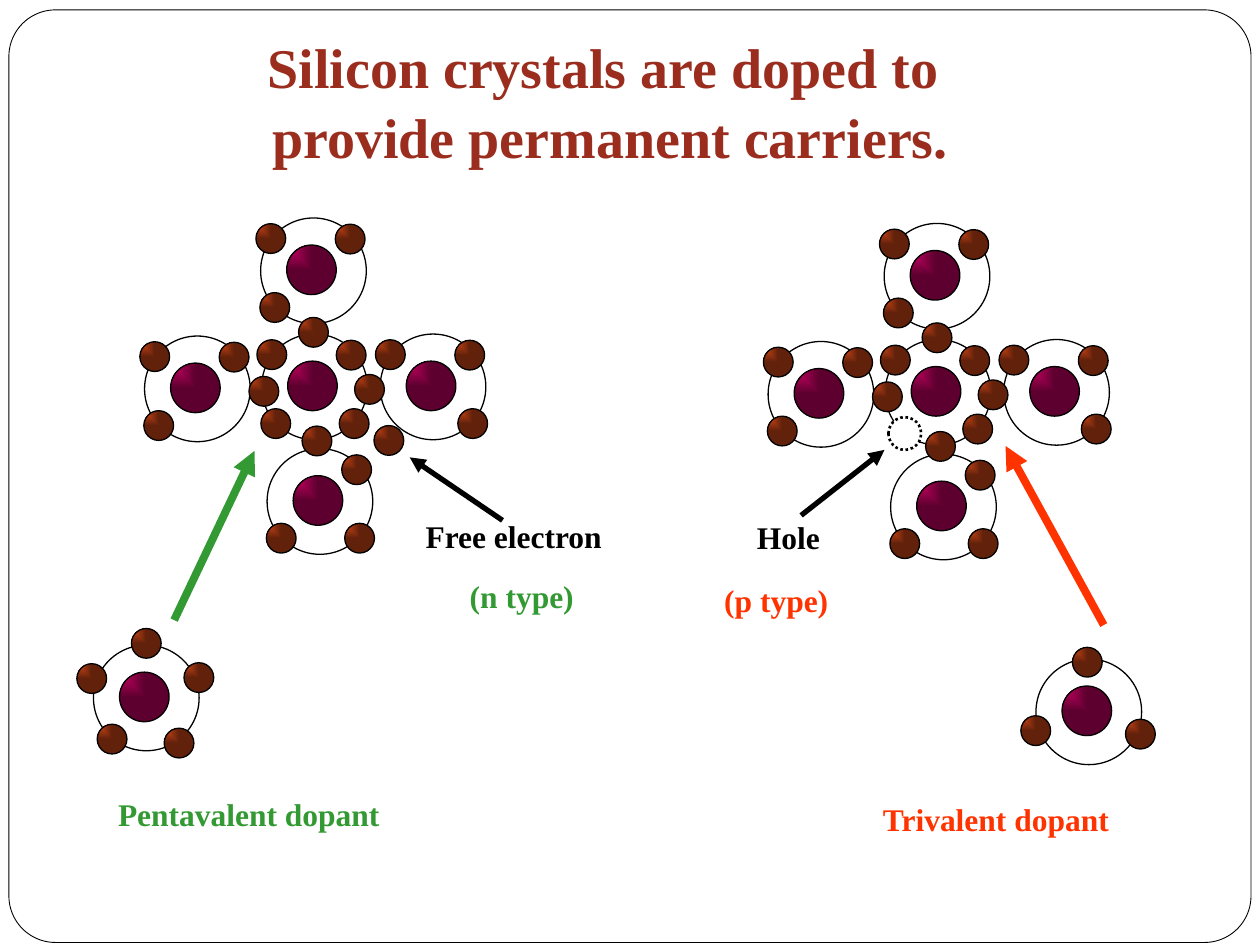
"""Build a slide on doping silicon crystals with pentavalent and trivalent atoms."""
from lxml.etree import SubElement
from pptx import Presentation
from pptx.dml.color import RGBColor
from pptx.enum.dml import MSO_LINE
from pptx.enum.shapes import MSO_CONNECTOR, MSO_SHAPE
from pptx.enum.text import MSO_ANCHOR, MSO_AUTO_SIZE, PP_ALIGN
from pptx.oxml import parse_xml
from pptx.oxml.ns import nsdecls, qn
from pptx.util import Cm, Pt

BLACK = RGBColor(0x00, 0x00, 0x00)
WHITE = RGBColor(0xFF, 0xFF, 0xFF)
RUST = RGBColor(0x9B, 0x2D, 0x1F)
GREEN = RGBColor(0x33, 0x99, 0x33)
RED = RGBColor(0xFF, 0x33, 0x00)
NUCLEUS = (RGBColor(0xCC, 0x00, 0x66), RGBColor(0x5E, 0x00, 0x2F))
ELECTRON = (RGBColor(0xD3, 0x48, 0x17), RGBColor(0x62, 0x21, 0x0B))
FONT = "Times New Roman"

NW, NE, SW, SE = (-0.86, -0.65), (0.74, -0.64), (-0.78, 0.74), (0.8, 0.74)
CENTRE = (6.34, 7.8)
NEIGHBOURS = [
    ((8.73, 7.8), [NW, (-1.28, 0.05), NE, SE]),
    ((3.98, 7.84), [NW, SW, NE, (1.34, 0.05)]),
    ((6.45, 10.11), [(-0.06, -1.22), SW, NE, SE]),
    ((6.32, 5.46), [NW, SW, NE, (0, 1.24)]),
]
CRYSTALS = [((0, 0), [NW, SW, NE, SE]), ((12.57, 0.11), [NW, NE, SE])]
DOPANTS = [
    ((21.95, 14.35), [(-1.07, 0.38), (-0.03, -1), (1.04, 0.45)]),
    ((2.95, 14.07), [(-1.1, -0.39), (-0.69, 0.83), (1.06, -0.41), (0.66, 0.91), (0, -1.1)]),
]


def add_circle(shapes, x, y, size, gradient=None):
    sp = shapes.add_shape(MSO_SHAPE.OVAL, Cm(x - size / 2), Cm(y - size / 2), Cm(size), Cm(size))
    sp.shadow.inherit = False
    sp.line.color.rgb = BLACK
    sp.line.width = Pt(0.75)
    sp.fill.background()
    if gradient:
        sp.fill.gradient()
        for stop, color, position in zip(sp.fill.gradient_stops, gradient, (0, 1)):
            stop.color.rgb = color
            stop.position = position
        lin = sp._element.spPr.find(qn("a:gradFill")).find(qn("a:lin"))
        lin.getparent().replace(lin, parse_xml(
            f'<a:path {nsdecls("a")} path="rect"><a:fillToRect r="100000" b="100000"/></a:path>'))
    return sp


def add_atom(shapes, x, y, electrons):
    add_circle(shapes, x - 0.04, y - 0.02, 1, NUCLEUS)
    add_circle(shapes, x, y, 2.13)
    for dx, dy in electrons:
        add_circle(shapes, x + dx, y + dy, 0.6, ELECTRON)


prs = Presentation()
prs.slide_width, prs.slide_height = Cm(25.4), Cm(19.05)
s = prs.slides.add_slide(prs.slide_layouts[5])

title = s.shapes.title
title.left, title.top, title.width, title.height = Cm(5.13), Cm(0.56), Cm(14.35), Cm(2.97)
tf = title.text_frame
tf.text = "Silicon crystals are doped to \nprovide permanent carriers."
tf.word_wrap = False
tf.auto_size = MSO_AUTO_SIZE.NONE
tf.vertical_anchor = MSO_ANCHOR.MIDDLE
for p in tf.paragraphs:
    p.alignment = PP_ALIGN.CENTER
    p.space_before = Pt(1.5)
    p.font.name, p.font.size, p.font.bold = FONT, Pt(32), True
    p.font.color.rgb = RUST

frame = s.shapes.add_shape(MSO_SHAPE.ROUNDED_RECTANGLE, Cm(0.18), Cm(0.2), Cm(25.04), Cm(18.8))
frame.adjustments[0] = 0.05
frame.shadow.inherit = False
frame.fill.solid()
frame.fill.fore_color.rgb = WHITE
frame.line.color.rgb = BLACK
frame.line.width = Pt(0.5)
title._element.addprevious(frame._element)

for (dx, dy), centre_electrons in CRYSTALS:
    for (x, y), electrons in [(CENTRE, centre_electrons)] + NEIGHBOURS:
        add_atom(s.shapes, x + dx, y + dy, electrons)
for (x, y), electrons in DOPANTS:
    add_atom(s.shapes.add_group_shape().shapes, x, y, electrons)

add_circle(s.shapes, 7.84, 8.88, 0.6, ELECTRON)
hole = add_circle(s.shapes, 18.24, 8.74, 0.66)
hole.fill.solid()
hole.fill.fore_color.rgb = WHITE
hole.line.width = Pt(1.5)
hole.line.dash_style = MSO_LINE.ROUND_DOT

for text, x, y, width, color in [
    ("Hole", 15.01, 10.31, 2.21, BLACK),
    ("Free electron", 8.33, 10.29, 5.28, BLACK),
    ("Pentavalent dopant", 2.13, 15.9, 7.54, GREEN),
    ("Trivalent dopant", 17.55, 16, 6.65, RED),
    ("(n type)", 9.22, 11.51, 3.3, GREEN),
    ("(p type)", 14.35, 11.58, 3.3, RED),
]:
    tf = s.shapes.add_textbox(Cm(x), Cm(y), Cm(width), Cm(1.27)).text_frame
    tf.word_wrap = True
    p = tf.paragraphs[0]
    p.text = text
    p.font.name, p.font.size, p.font.bold = FONT, Pt(18), True
    p.font.color.rgb = color

for x1, y1, x2, y2, color, weight in [
    (10.13, 10.49, 8.26, 9.22, BLACK, 3),
    (16.15, 10.39, 17.83, 9.07, BLACK, 3),
    (3.51, 12.5, 5.13, 9.09, GREEN, 4.5),
    (22.25, 12.6, 20.27, 8.99, RED, 4.5),
]:
    arrow = s.shapes.add_connector(MSO_CONNECTOR.STRAIGHT, Cm(x1), Cm(y1), Cm(x2), Cm(y2))
    arrow.line.color.rgb = color
    arrow.line.width = Pt(weight)
    SubElement(arrow.line._get_or_add_ln(), qn("a:tailEnd"), type="triangle")
    SubElement(arrow._element.spPr, qn("a:effectLst"))

prs.save("out.pptx")
